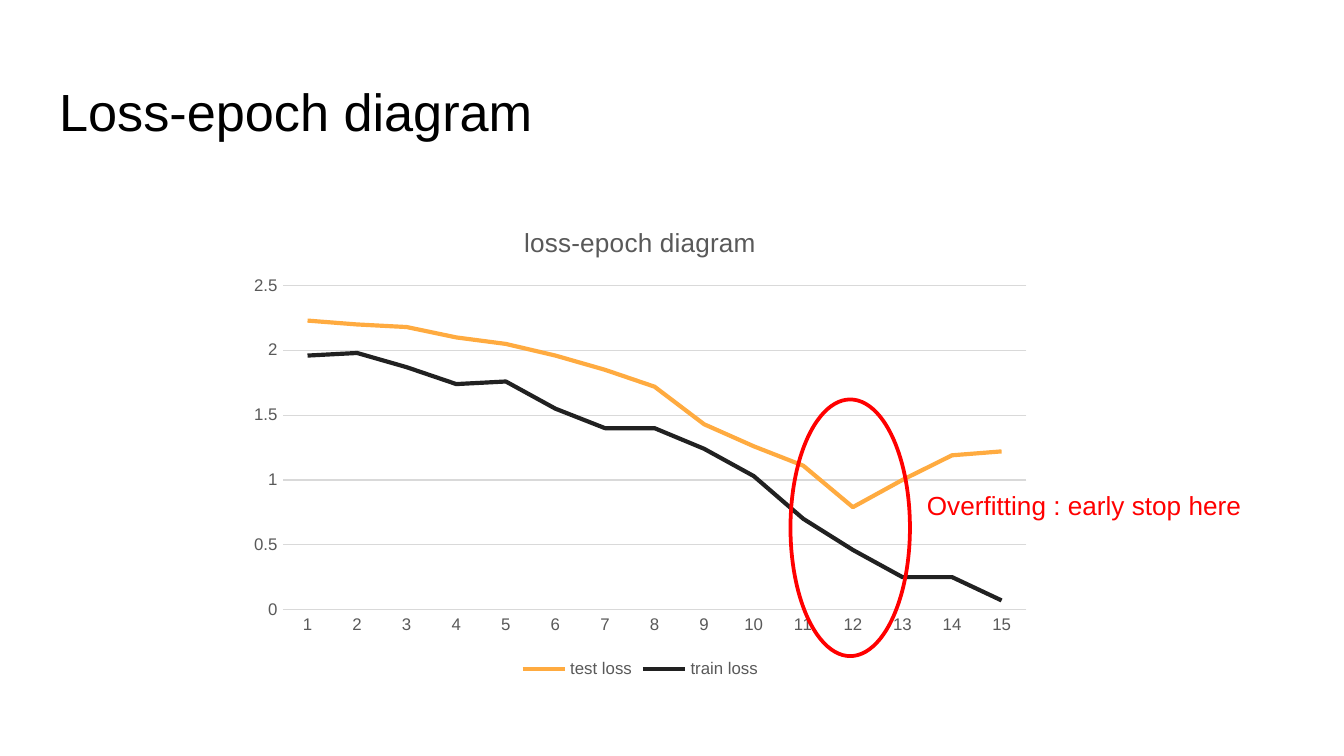
from pptx import Presentation
from pptx.chart.data import CategoryChartData
from pptx.dml.color import RGBColor
from pptx.enum.chart import XL_CHART_TYPE, XL_LEGEND_POSITION, XL_TICK_MARK
from pptx.enum.shapes import MSO_SHAPE
from pptx.enum.text import MSO_ANCHOR, PP_ALIGN
from pptx.util import Pt

LINE_CHART = XL_CHART_TYPE.LINE
LEGEND_BOTTOM = XL_LEGEND_POSITION.BOTTOM
NO_TICK = XL_TICK_MARK.NONE
ELLIPSE = MSO_SHAPE.OVAL
TOP = MSO_ANCHOR.TOP
LEFT = PP_ALIGN.LEFT

FONT = "Arial"
BLACK, GRAY, GRID, RED = "000000", "595959", "D9D9D9", "FF0000"

TEST_LOSS = (2.23, 2.2, 2.18, 2.1, 2.05, 1.96, 1.85, 1.72,
             1.43, 1.26, 1.11, 0.79, 1, 1.19, 1.22)
TRAIN_LOSS = (1.96, 1.98, 1.87, 1.74, 1.76, 1.55, 1.4, 1.4,
              1.24, 1.03, 0.7, 0.46, 0.25, 0.25, 0.07)
LOSSES = (("test loss", TEST_LOSS, "FFAB40"),
          ("train loss", TRAIN_LOSS, "212121"))


def rgb(code):
    return RGBColor.from_string(code)


def points(*lengths):
    return [Pt(length) for length in lengths]


def set_line(line, color, width):
    line.color.rgb = rgb(color)
    line.width = Pt(width)


class SlideBuilder:
    """Holds the text style and the slide being filled."""

    def __init__(self, presentation, font):
        self.font = font
        self.slide = presentation.slides.add_slide(presentation.slide_layouts[5])

    def style(self, font, size, color):
        font.name = self.font
        font.size = Pt(size)
        font.bold = False
        font.color.rgb = rgb(color)

    def add_text(self, frame, text, size, color):
        paragraph = frame.paragraphs[0]
        paragraph.alignment = LEFT
        run = paragraph.add_run()
        run.text = text
        self.style(run.font, size, color)

    def title(self, text, box):
        heading = self.slide.shapes.title
        heading.left, heading.top, heading.width, heading.height = points(*box)
        frame = heading.text_frame
        frame.vertical_anchor = TOP
        frame.margin_left = frame.margin_right = Pt(7.2)
        frame.margin_top = frame.margin_bottom = Pt(7.2)
        self.add_text(frame, text, 28, BLACK)

    def note(self, text, box, size, color):
        frame = self.slide.shapes.add_textbox(*points(*box)).text_frame
        frame.word_wrap = True
        self.add_text(frame, text, size, color)

    def ring(self, box, color, width):
        ring = self.slide.shapes.add_shape(ELLIPSE, *points(*box))
        ring.shadow.inherit = False
        ring.fill.background()
        set_line(ring.line, color, width)

    def line_chart(self, title, categories, losses, box):
        data = CategoryChartData()
        data.categories = categories
        for name, values, _ in losses:
            data.add_series(name, values)
        chart = self.slide.shapes.add_chart(LINE_CHART, *points(*box), data).chart
        self.style(chart.font, 10, BLACK)

        heading = chart.chart_title.text_frame.paragraphs[0].add_run()
        heading.text = title
        self.style(heading.font, 14, GRAY)

        chart.has_legend = True
        chart.legend.position = LEGEND_BOTTOM
        chart.legend.include_in_layout = False
        self.style(chart.legend.font, 9, GRAY)

        for axis in (chart.category_axis, chart.value_axis):
            axis.major_tick_mark = axis.minor_tick_mark = NO_TICK
            self.style(axis.tick_labels.font, 9, GRAY)
        set_line(chart.category_axis.format.line, GRID, 0.75)

        loss_axis = chart.value_axis
        loss_axis.minimum_scale, loss_axis.maximum_scale = 0, 2.5
        loss_axis.major_unit = 0.5
        loss_axis.format.line.fill.background()
        set_line(loss_axis.major_gridlines.format.line, GRID, 0.75)

        plot = chart.plots[0]
        plot.vary_by_categories = False
        for series, (_, _, color) in zip(plot.series, losses):
            series.smooth = False
            set_line(series.format.line, color, 2.25)


def main():
    presentation = Presentation()
    presentation.slide_width, presentation.slide_height = points(720, 405)

    builder = SlideBuilder(presentation, FONT)
    builder.title("Loss-epoch diagram", (24.5, 35, 671, 45))
    builder.line_chart("loss-epoch diagram", [str(n) for n in range(1, 16)],
                       LOSSES, (127.5, 109.5, 431, 257))
    builder.ring((423.5, 214, 64, 137.5), RED, 2)
    builder.note("Overfitting : early stop here", (489.5, 258.5, 238, 24.5), 14, RED)

    presentation.save("out.pptx")


if __name__ == "__main__":
    main()
